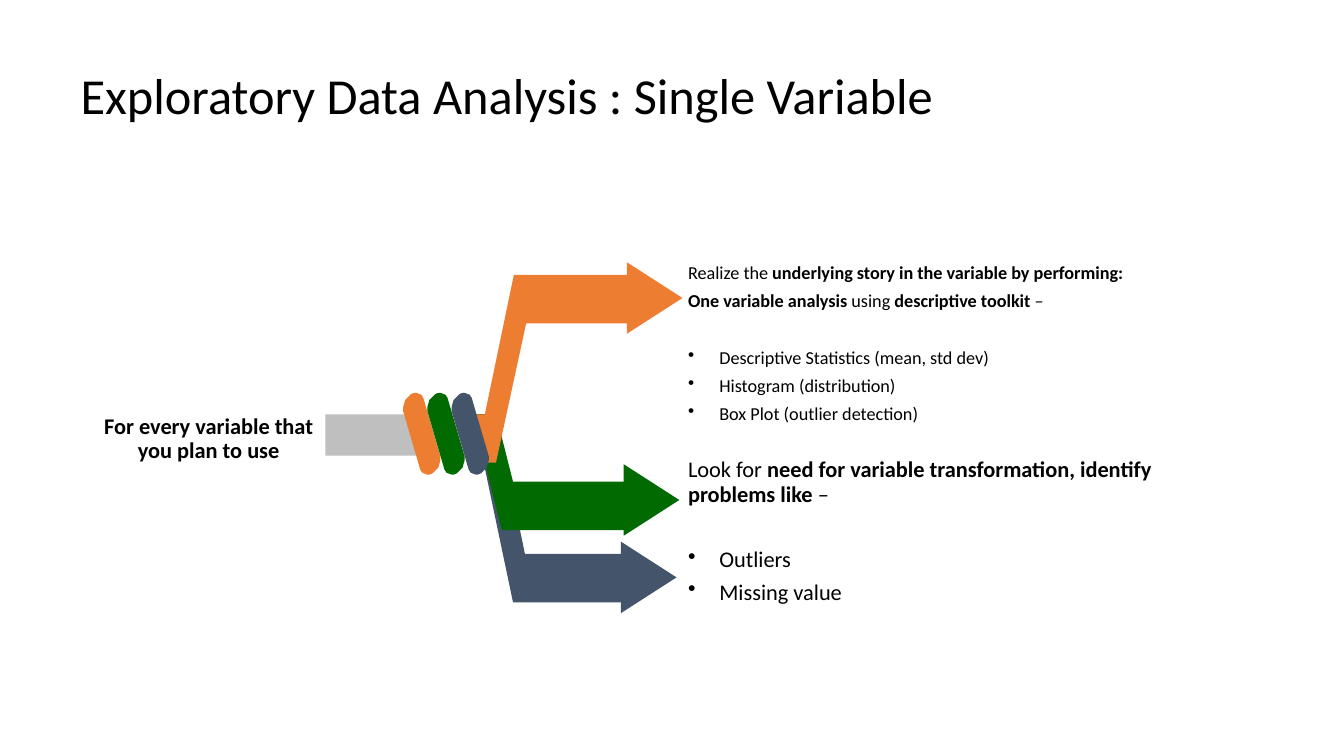
from dataclasses import dataclass

from lxml import etree
from pptx import Presentation
from pptx import util as u
from pptx.dml.color import RGBColor
from pptx.enum import shapes, text
from pptx.oxml import ns

BLACK = RGBColor(0x00, 0x00, 0x00)
GRAY = RGBColor(0xBF, 0xBF, 0xBF)
ORANGE = RGBColor(0xED, 0x7D, 0x31)
GREEN = RGBColor(0x01, 0x6B, 0x01)
SLATE = RGBColor(0x44, 0x54, 0x6A)

FONT = "Calibri"
ROOT_TOP, ROOT_BOTTOM = 10.44, 11.66
INNER_KNEE, ARM_END = 12.5, 15.9
BAND = 1.22
HEAD_LENGTH, HEAD_HALF = 1.4, 0.9
RING_X, RING_Y, RING_PITCH = 10.63, 10.93, 0.61

# Half of a ring's outline around its centre; the other half is its rotation
RING_HALF = [
    (0.14, 1.03), (0.06, 1.0), (0.01, 0.98), (-0.04, 0.9), (-0.06, 0.83),
    (-0.44, -0.47), (-0.47, -0.57), (-0.47, -0.67), (-0.44, -0.77),
    (-0.42, -0.85), (-0.37, -0.9), (-0.32, -0.95), (-0.27, -1.0),
    (-0.19, -1.03),
]


@dataclass
class Branch:
    """A bent arm with its arrowhead; lengths in centimetres."""
    color: RGBColor
    upward: bool
    left: float
    outer_knee: float
    outer_elbow: float
    inner_elbow: float
    band_top: float
    head_left: float
    head_middle: float


@dataclass
class Line:
    """A paragraph made of (text, bold) pieces."""
    pieces: list[tuple[str, bool]]
    bullet: bool = False
    before: float = 0


BRANCHES = [
    Branch(SLATE, False, 11.79, 12.19, 12.93, 13.23, 13.96, 15.65, 14.55),
    Branch(GREEN, False, 11.89, 12.22, 12.65, 12.93, 12.14, 15.72, 12.6),
    Branch(ORANGE, True, 11.89, 12.22, 12.95, 13.26, 6.93, 15.8, 7.51),
]

STORY = [
    Line([("Realize the ", False),
          ("underlying story in the variable by performing:", True)]),
    Line([("One variable analysis ", True), ("using", False),
          (" descriptive toolkit ", True), ("–", False)]),
    Line([("Descriptive Statistics (mean, std dev)", False)], True, 20),
    Line([("Histogram (distribution)", False)], True),
    Line([("Box Plot (outlier detection)", False)], True),
]

PROBLEMS = [
    Line([("Look for ", False),
          ("need for variable transformation, identify problems like ", True),
          ("–", False)]),
    Line([("Outliers", False)], True, 23.5),
    Line([("Missing value", False)], True),
]


def paint(shape, color: RGBColor) -> None:
    shape.fill.solid()
    shape.fill.fore_color.rgb = color
    shape.line.fill.background()
    shape.shadow.inherit = False


def add_outline(slide, points: list[tuple[float, float]], color: RGBColor) -> None:
    corners = [(u.Cm(x), u.Cm(y)) for x, y in points]
    builder = slide.shapes.build_freeform(*corners[0])
    builder.add_line_segments(corners[1:], close=True)
    paint(builder.convert_to_shape(), color)


def add_arm(slide, branch: Branch) -> None:
    # The outer edge is the one on the far side of the bend
    outer, inner = branch.band_top + BAND, branch.band_top
    root_outer, root_inner = ROOT_BOTTOM, ROOT_TOP
    if branch.upward:
        outer, inner = inner, outer
        root_outer, root_inner = root_inner, root_outer
    add_outline(slide, [
        (ARM_END, outer), (branch.outer_elbow, outer),
        (branch.outer_knee, root_outer), (branch.left, root_outer),
        (branch.left, root_inner), (INNER_KNEE, root_inner),
        (branch.inner_elbow, inner), (ARM_END, inner),
    ], branch.color)


def add_head(slide, branch: Branch) -> None:
    left, middle = branch.head_left, branch.head_middle
    add_outline(slide, [
        (left, middle + HEAD_HALF), (left + HEAD_LENGTH, middle),
        (left, middle - HEAD_HALF),
    ], branch.color)


def add_ring(slide, position: int, color: RGBColor) -> None:
    center = RING_X + position * RING_PITCH
    offsets = RING_HALF + [(-x, -y) for x, y in RING_HALF]
    add_outline(slide, [(center + x, RING_Y + y) for x, y in offsets], color)


def add_bullet(paragraph) -> None:
    properties = paragraph._p.get_or_add_pPr()
    properties.set("marL", str(u.Cm(0.79)))
    properties.set("indent", str(u.Cm(-0.79)))
    etree.SubElement(properties, ns.qn("a:buChar")).set("char", "•")


def add_text(slide, box: tuple[float, float, float, float], lines: list[Line], *,
             size: float, anchor=text.MSO_ANCHOR.TOP,
             align=text.PP_ALIGN.LEFT, after: float = 6) -> None:
    frame = slide.shapes.add_textbox(*map(u.Cm, box)).text_frame
    frame.word_wrap = True
    frame.vertical_anchor = anchor
    for index, line in enumerate(lines):
        paragraph = frame.add_paragraph() if index else frame.paragraphs[0]
        paragraph.alignment = align
        paragraph.line_spacing = 0.9
        paragraph.space_before = u.Pt(line.before)
        paragraph.space_after = u.Pt(after)
        if line.bullet:
            add_bullet(paragraph)
        for words, bold in line.pieces:
            run = paragraph.add_run()
            run.text = words
            run.font.name = FONT
            run.font.size = u.Pt(size)
            run.font.bold = bold
            run.font.color.rgb = BLACK


def main() -> None:
    presentation = Presentation()
    presentation.slide_width = u.Cm(33.87)
    presentation.slide_height = u.Cm(19.05)
    slide = presentation.slides.add_slide(presentation.slide_layouts[6])

    # Title and explanations
    add_text(slide, (1.78, 0.89, 30.3, 3.15),
             [Line([("Exploratory Data Analysis : Single Variable", False)])],
             size=36, anchor=text.MSO_ANCHOR.MIDDLE, after=0)
    add_text(slide, (17.09, 6.53, 13.92, 4.29), STORY, size=13)
    add_text(slide, (17.09, 11.43, 14.45, 4.29), PROBLEMS, size=16)

    # Branching arrows, held together by the rings
    for branch in BRANCHES:
        add_arm(slide, branch)
    stem = slide.shapes.add_shape(shapes.MSO_SHAPE.RECTANGLE, u.Cm(8.2),
                                  u.Cm(ROOT_TOP), u.Cm(2.36), u.Cm(1.04))
    paint(stem, GRAY)
    for position, color in enumerate((ORANGE, GREEN, SLATE)):
        add_ring(slide, position, color)
    for branch in BRANCHES:
        add_head(slide, branch)

    # Starting point
    add_text(slide, (2.34, 10.29, 5.84, 1.57),
             [Line([("For every variable that you plan to use", True)])],
             size=16, anchor=text.MSO_ANCHOR.MIDDLE, align=text.PP_ALIGN.CENTER)

    presentation.save("out.pptx")


if __name__ == "__main__":
    main()
